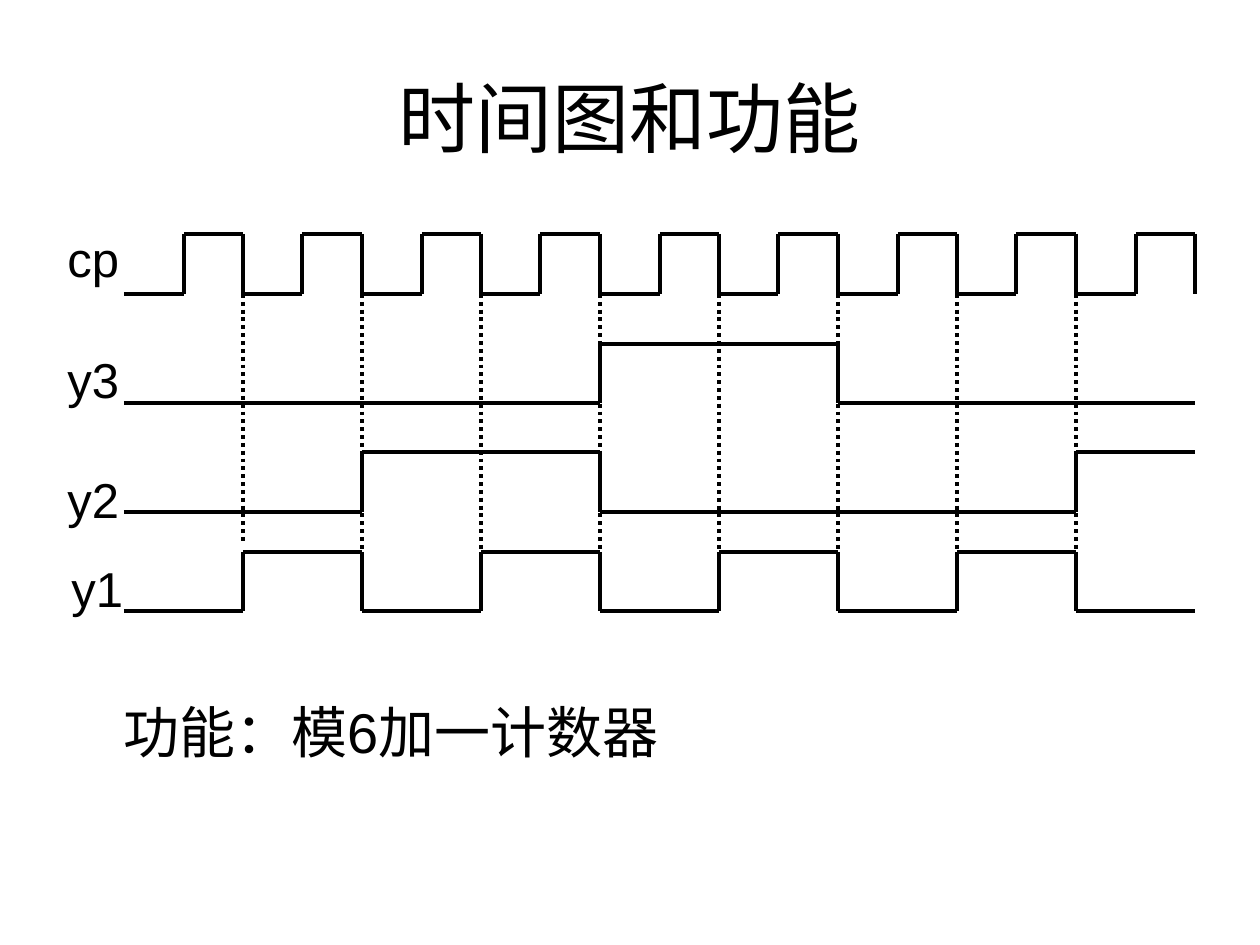
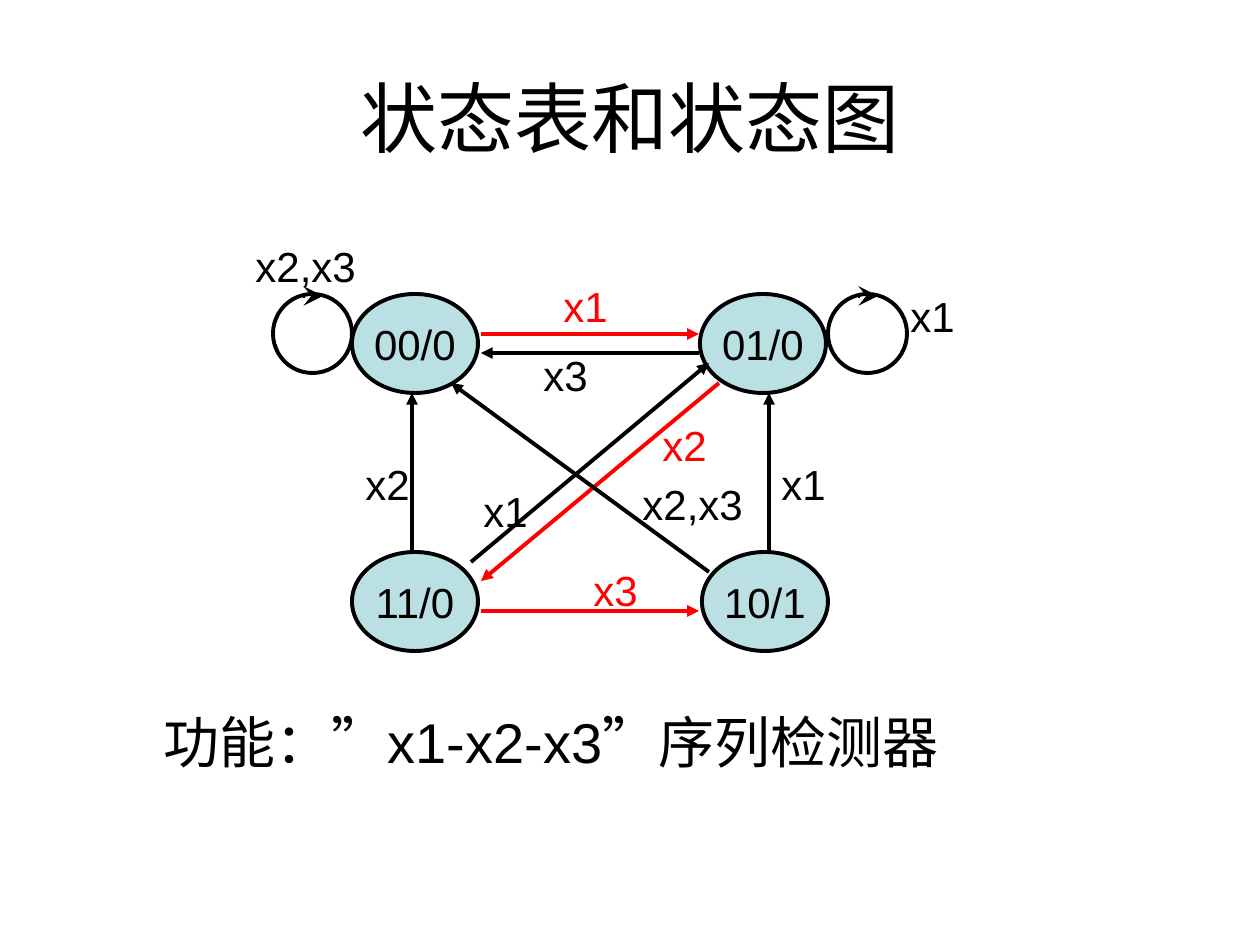
from itertools import groupby

from lxml import etree
from pptx import Presentation, util as u
from pptx.dml.color import RGBColor
from pptx.enum import dml, shapes, text
from pptx.oxml.ns import qn

BLACK = RGBColor(0x00, 0x00, 0x00)
RED = RGBColor(0xFF, 0x00, 0x00)
STATE_FILL = RGBColor(0xBB, 0xE0, 0xE3)
FONT = "Arial"
PX_PER_INCH = 126
LINE_WIDTH = u.Pt(2.25)


def px(n):
    return u.Inches(n / PX_PER_INCH)


class Deck:
    """Holds the shared style and the slide being drawn."""

    def __init__(self):
        self.prs = Presentation()
        self.prs.slide_width, self.prs.slide_height = px(1260), px(945)
        self.s = None

    def new_slide(self, title):
        self.s = self.prs.slides.add_slide(self.prs.slide_layouts[6])
        tf = self.text(title, 63, 38, 1134, 158, 44)
        tf.vertical_anchor = text.MSO_ANCHOR.MIDDLE
        tf.paragraphs[0].alignment = text.PP_ALIGN.CENTER

    def style_text(self, tf, words, size, color):
        tf.text = words
        font = tf.paragraphs[0].runs[0].font
        font.name, font.size = FONT, u.Pt(size)
        font.color.rgb = color

    def text(self, words, x, y, w, h, size, color=BLACK):
        tf = self.s.shapes.add_textbox(px(x), px(y), px(w), px(h)).text_frame
        tf.word_wrap = True
        self.style_text(tf, words, size, color)
        return tf

    def line(self, x1, y1, x2, y2, color=BLACK, head=None, head_size="med",
             dotted=False):
        c = self.s.shapes.add_connector(
            shapes.MSO_CONNECTOR.STRAIGHT, px(x1), px(y1), px(x2), px(y2))
        c.line.color.rgb = color
        c.line.width = LINE_WIDTH
        if dotted:
            c.line.dash_style = dml.MSO_LINE.ROUND_DOT
        if head:
            etree.SubElement(c.line._get_or_add_ln(), qn("a:tailEnd"),
                             type=head, w=head_size, len=head_size)
        etree.SubElement(c._element.spPr, qn("a:effectLst"))

    def ellipse(self, x, y, w, h, words=None):
        """A filled state with its words, or an empty ring without them."""
        sp = self.s.shapes.add_shape(
            shapes.MSO_SHAPE.OVAL, px(x), px(y), px(w), px(h))
        sp.shadow.inherit = False
        sp.line.color.rgb = BLACK
        sp.line.width = LINE_WIDTH
        if words is None:
            sp.fill.background()
            return
        sp.fill.solid()
        sp.fill.fore_color.rgb = STATE_FILL
        tf = sp.text_frame
        tf.word_wrap = False
        tf.vertical_anchor = text.MSO_ANCHOR.MIDDLE
        self.style_text(tf, words, 24, BLACK)
        tf.paragraphs[0].alignment = text.PP_ALIGN.CENTER

    def self_loop(self, x, y):
        self.ellipse(x, y, 79, 79)
        self.line(x + 30, y + 2, x + 50, y + 2, head="stealth", head_size="lg")

    def wave(self, levels, times, high, low):
        """Draws one run of equal levels at a time, with an edge between runs."""
        start = 0
        for level, run in groupby(levels):
            end = start + len(list(run))
            y = high if level else low
            if start:
                self.line(times[start], high, times[start], low)
            self.line(times[start], y, times[end], y)
            start = end


def timing_slide(deck):
    deck.new_slide("时间图和功能")
    cycles, modulus = 9, 6
    half_times = [round(124 + i * 1071 / 18) for i in range(2 * cycles + 1)]
    cycle_times = half_times[::2]
    counts = [i % modulus for i in range(cycles)]

    deck.wave([0, 1] * cycles, half_times, 234, 294)
    deck.line(half_times[-1], 234, half_times[-1], 294)
    for i, x in enumerate(cycle_times[1:-1]):
        deck.line(x, 294, x, 552 if i else 542, dotted=True)
    for bit, high, low in ((2, 344, 403), (1, 452, 512), (0, 552, 611)):
        deck.wave([n >> bit & 1 for n in counts], cycle_times, high, low)

    for name, x, y in (("cp", 55, 222), ("y3", 55, 343),
                       ("y2", 55, 463), ("y1", 59, 552)):
        deck.text(name, x, y, 80, 72, 28)
    deck.text("功能：模6加一计数器", 111, 691, 610, 81, 32)


def state_slide(deck):
    deck.new_slide("状态表和状态图")
    for name, x, y in (("00/0", 352, 294), ("01/0", 700, 294),
                       ("11/0", 352, 552), ("10/1", 702, 552)):
        deck.ellipse(x, y, 126, 99, name)
    for x in (273, 828):
        deck.self_loop(x, 294)

    for x1, y1, x2, y2, color in (
            (481, 334, 699, 334, RED), (719, 383, 481, 581, RED),
            (481, 611, 699, 611, RED), (709, 572, 451, 383, BLACK),
            (769, 552, 769, 393, BLACK), (412, 552, 412, 393, BLACK),
            (471, 562, 709, 363, BLACK), (699, 353, 481, 353, BLACK)):
        deck.line(x1, y1, x2, y2, color, head="triangle")

    for name, x, y, color in (
            ("x1", 551, 274, RED), ("x2", 650, 413, RED), ("x3", 581, 558, RED),
            ("x2,x3", 243, 234, BLACK), ("x2,x3", 630, 472, BLACK),
            ("x1", 898, 284, BLACK), ("x1", 769, 452, BLACK),
            ("x2", 353, 452, BLACK), ("x1", 471, 479, BLACK),
            ("x3", 531, 343, BLACK)):
        deck.text(name, x, y, 130 if "," in name else 74, 63, 24, color)
    deck.text("功能：”x1-x2-x3”序列检测器", 151, 701, 840, 81, 32)


def main():
    deck = Deck()
    timing_slide(deck)
    state_slide(deck)
    deck.prs.save("out.pptx")


if __name__ == "__main__":
    main()
